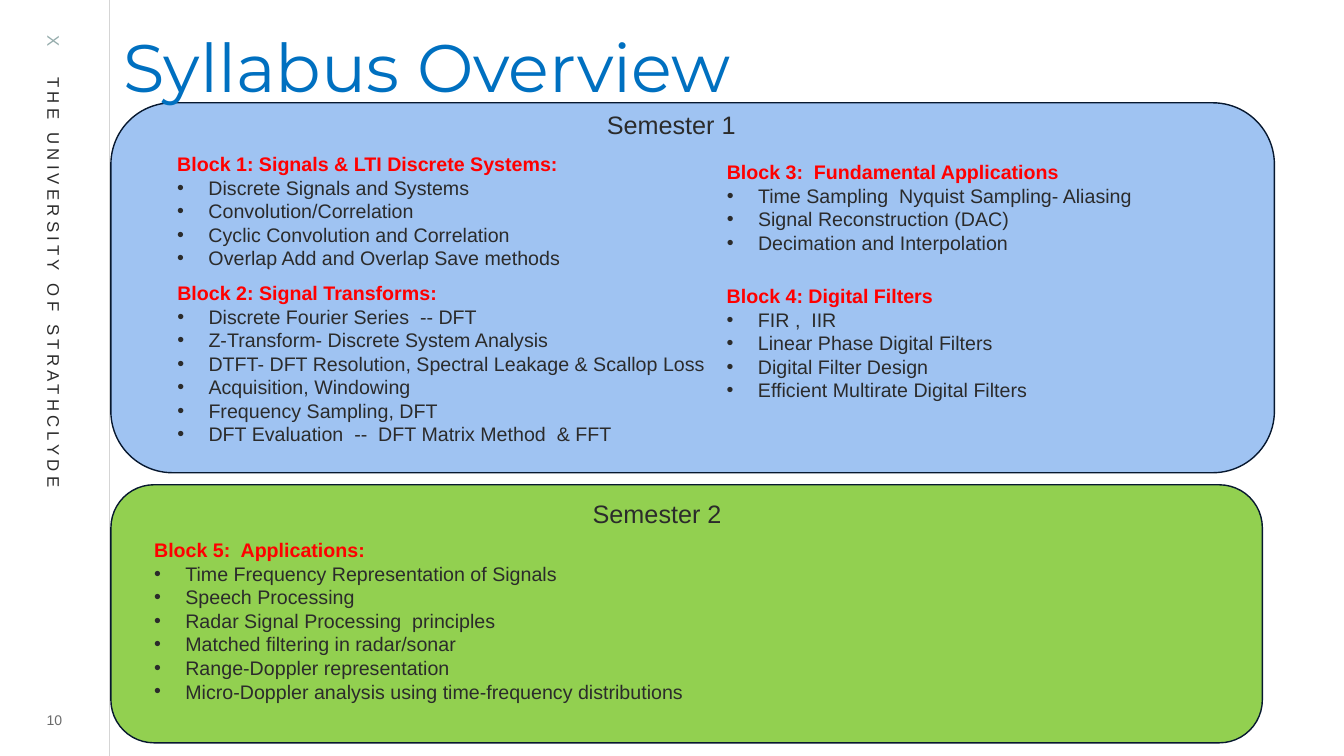
from lxml.etree import SubElement
from pptx import Presentation
from pptx.dml.color import RGBColor
from pptx.enum.shapes import MSO_CONNECTOR, MSO_SHAPE
from pptx.enum.text import MSO_ANCHOR, MSO_AUTO_SIZE, PP_ALIGN
from pptx.oxml.ns import qn
from pptx.util import Inches, Pt

COLORS = {
    "ink": "2B2B2B",
    "heading": "FF0000",
    "title": "0070C0",
    "mark": "95ACAC",
    "number": "6B6B6B",
    "rule": "D5D5D5",
    "outline": "07182F",
    "semester1": "9FC3F2",
    "semester2": "92D050",
}

PANELS = [
    ("semester2", (1.1, 4.81, 11.42, 2.56)),
    ("semester1", (1.1, 1.02, 11.54, 3.67)),
]

SEMESTERS = [
    ("Semester 1", (5.92, 1.04, 1.49, 0.4)),
    ("Semester 2", (5.78, 4.89, 1.49, 0.4)),
]

BLOCKS = [
    ("Block 5:  Applications:", (1.43, 5.29, 7.32, 1.75), [
        "Time Frequency Representation of Signals",
        "Speech Processing",
        "Radar Signal Processing  principles",
        "Matched filtering in radar/sonar",
        "Range-Doppler representation",
        "Micro-Doppler analysis using time-frequency distributions",
    ]),
    ("Block 2: Signal Transforms:", (1.66, 2.74, 5.89, 1.75), [
        "Discrete Fourier Series  -- DFT",
        "Z-Transform- Discrete System Analysis",
        "DTFT- DFT Resolution, Spectral Leakage & Scallop Loss",
        "Acquisition, Windowing",
        "Frequency Sampling, DFT",
        "DFT Evaluation  --  DFT Matrix Method  & FFT",
    ]),
    ("Block 4: Digital Filters", (7.11, 2.77, 4.87, 1.55), [
        "FIR ,  IIR",
        "Linear Phase Digital Filters",
        "Digital Filter Design",
        "Efficient Multirate Digital Filters",
    ]),
    ("Block 3:  Fundamental Applications", (7.11, 1.54, 5.89, 1.04), [
        "Time Sampling  Nyquist Sampling- Aliasing",
        "Signal Reconstruction (DAC)",
        "Decimation and Interpolation",
    ]),
    ("Block 1: Signals & LTI Discrete Systems:", (1.66, 1.46, 4.87, 1.28), [
        "Discrete Signals and Systems",
        "Convolution/Correlation",
        "Cyclic Convolution and Correlation",
        "Overlap Add and Overlap Save methods",
    ]),
]


def rgb(name):
    return RGBColor.from_string(COLORS[name])


def add_run(p, text, color, size, name="Arial", bold=False):
    r = p.add_run()
    r.text = text
    for key, value in {"name": name, "size": Pt(size), "bold": bold}.items():
        setattr(r.font, key, value)
    r.font.color.rgb = rgb(color)
    return r


def add_box(s, box, **frame):
    sp = s.shapes.add_textbox(*map(Inches, box))
    tf = sp.text_frame
    for key, value in {"word_wrap": True, **frame}.items():
        setattr(tf, key, value)
    return sp


def add_bullet(p):
    pPr = p._p.get_or_add_pPr()
    pPr.set("marL", str(Inches(0.31)))
    pPr.set("indent", str(Inches(-0.31)))
    SubElement(pPr, qn("a:buFont"), typeface="Arial")
    SubElement(pPr, qn("a:buChar"), char="•")


def add_block(s, heading, box, topics):
    tf = add_box(s, box, auto_size=MSO_AUTO_SIZE.SHAPE_TO_FIT_TEXT).text_frame
    add_run(tf.paragraphs[0], heading, "heading", 14, bold=True)
    for topic in topics:
        p = tf.add_paragraph()
        add_bullet(p)
        add_run(p, topic, "ink", 14)


def add_panel(s, color, box):
    sp = s.shapes.add_shape(MSO_SHAPE.ROUNDED_RECTANGLE, *map(Inches, box))
    sp.shadow.inherit = False
    sp.fill.solid()
    sp.fill.fore_color.rgb = rgb(color)
    sp.line.color.rgb = rgb("outline")
    sp.line.width = Pt(1)


def add_rule(s, x, height):
    line = s.shapes.add_connector(
        MSO_CONNECTOR.STRAIGHT, Inches(x), 0, Inches(x), Inches(height))
    line.line.color.rgb = rgb("rule")
    line.line.width = Pt(0.5)
    SubElement(line._element.spPr, qn("a:effectLst"))


def add_side_label(s):
    sp = add_box(s, (-2.3, 2.94, 5.67, 0.3),
                 auto_size=MSO_AUTO_SIZE.SHAPE_TO_FIT_TEXT)
    sp.rotation = 90
    p = sp.text_frame.paragraphs[0]
    for text, color in [("X", "mark"),
                        ("   THE UNIVERSITY OF STRATHCLYDE", "ink")]:
        r = add_run(p, text, color, 12)
        r._r.get_or_add_rPr().set("spc", "300")


def add_page_number(s, number):
    sp = add_box(s, (0.26, 7.02, 0.56, 0.25), margin_left=0, margin_top=0,
                 margin_right=0, margin_bottom=0,
                 vertical_anchor=MSO_ANCHOR.MIDDLE)
    p = sp.text_frame.paragraphs[0]
    p.alignment = PP_ALIGN.CENTER
    add_run(p, number, "number", 10)


def add_title(s, text):
    sp = add_box(s, (1.22, 0.2, 12.11, 1.96), margin_left=0,
                 margin_top=Inches(0.21), margin_right=0, margin_bottom=0)
    p = sp.text_frame.paragraphs[0]
    p.line_spacing = 0.8
    add_run(p, text, "title", 48, name="Montserrat")


def add_semester(s, text, box):
    sp = add_box(s, box, word_wrap=False,
                 auto_size=MSO_AUTO_SIZE.SHAPE_TO_FIT_TEXT)
    add_run(sp.text_frame.paragraphs[0], text, "ink", 18)


def main():
    prs = Presentation()
    prs.slide_width = Inches(13.33)
    prs.slide_height = Inches(7.5)
    s = prs.slides.add_slide(prs.slide_layouts[6])
    add_rule(s, 1.08, 7.5)
    add_side_label(s)
    for color, box in PANELS:
        add_panel(s, color, box)
    add_page_number(s, "10")
    add_title(s, "Syllabus Overview")
    for heading, box, topics in BLOCKS:
        add_block(s, heading, box, topics)
    for text, box in SEMESTERS:
        add_semester(s, text, box)
    prs.save("out.pptx")


if __name__ == "__main__":
    main()
